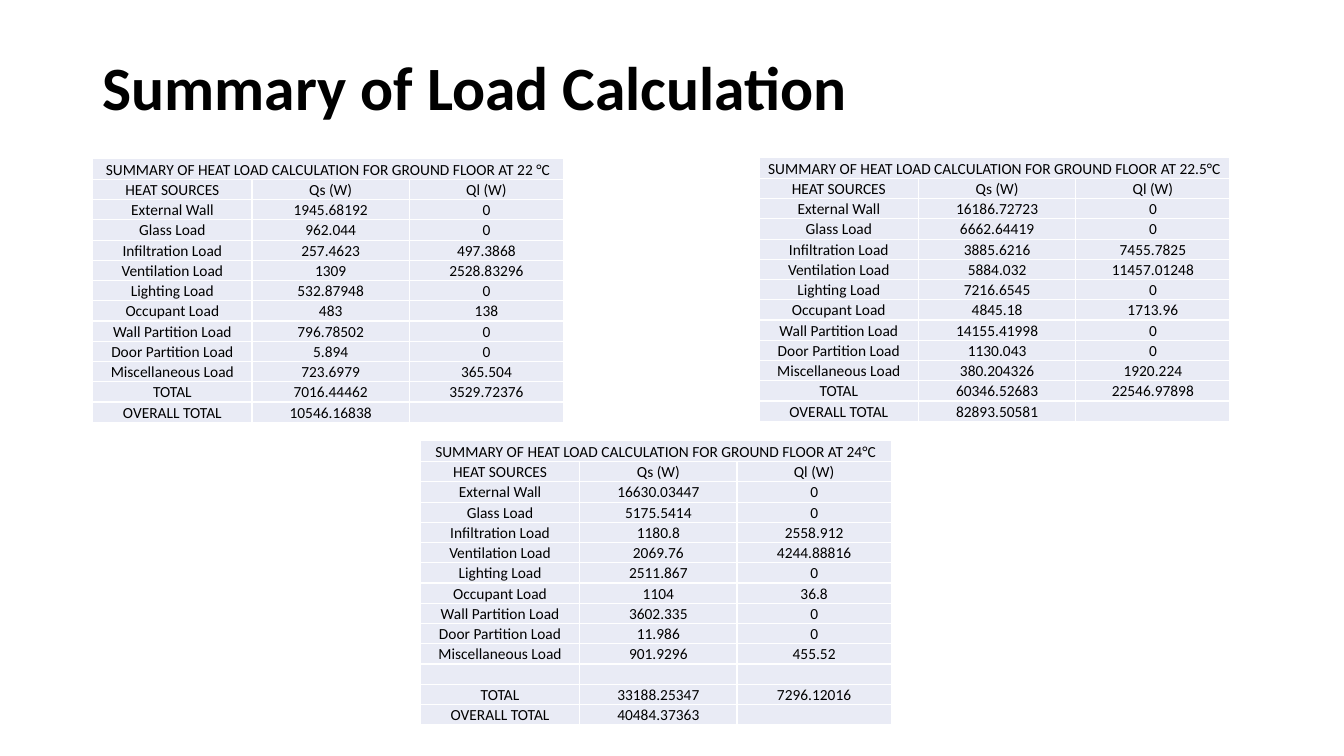
"""Build the load calculation summary slide with three heat load tables."""
import lxml.etree
import pptx
import pptx.dml.color
import pptx.enum.text
import pptx.oxml.ns
import pptx.util

Inches = pptx.util.Inches
Pt = pptx.util.Pt
qualified = pptx.oxml.ns.qn

BLACK = pptx.dml.color.RGBColor(0x00, 0x00, 0x00)
WHITE = pptx.dml.color.RGBColor(0xFF, 0xFF, 0xFF)
PALE_BLUE = pptx.dml.color.RGBColor(0xE9, 0xEB, 0xF5)

TITLE = "Summary of Load Calculation"
HEADING = "SUMMARY OF HEAT LOAD CALCULATION FOR GROUND FLOOR AT "
COLUMN_NAMES = ("HEAT SOURCES", "Qs (W)", "Ql (W)")
SOURCES = (
    "External Wall", "Glass Load", "Infiltration Load", "Ventilation Load",
    "Lighting Load", "Occupant Load", "Wall Partition Load",
    "Door Partition Load", "Miscellaneous Load",
)
TABLES = [
    {
        "temperature": "22 °C", "left": 0.92, "top": 1.57, "gap_rows": 0,
        "sensible": ("1945.68192", "962.044", "257.4623", "1309", "532.87948",
                     "483", "796.78502", "5.894", "723.6979"),
        "latent": ("0", "0", "497.3868", "2528.83296", "0", "138", "0", "0", "365.504"),
        "totals": ("7016.44462", "3529.72376"), "overall": "10546.16838",
    },
    {
        "temperature": "22.5°C", "left": 7.53, "top": 1.56, "gap_rows": 0,
        "sensible": ("16186.72723", "6662.64419", "3885.6216", "5884.032", "7216.6545",
                     "4845.18", "14155.41998", "1130.043", "380.204326"),
        "latent": ("0", "0", "7455.7825", "11457.01248", "0", "1713.96", "0", "0", "1920.224"),
        "totals": ("60346.52683", "22546.97898"), "overall": "82893.50581",
    },
    {
        "temperature": "24°C", "left": 4.17, "top": 4.37, "gap_rows": 1,
        "sensible": ("16630.03447", "5175.5414", "1180.8", "2069.76", "2511.867",
                     "1104", "3602.335", "11.986", "901.9296"),
        "latent": ("0", "0", "2558.912", "4244.88816", "0", "36.8", "0", "0", "455.52"),
        "totals": ("33188.25347", "7296.12016"), "overall": "40484.37363",
    },
]

COLUMN_WIDTHS = (1.58, 1.56, 1.53)
FIRST_ROW_HEIGHT = 0.21
TABLE_HEIGHT = 2.62
ROW_HEIGHT = (TABLE_HEIGHT - FIRST_ROW_HEIGHT) / 12
CELL_SIZE = Pt(11)
CELL_FORMAT = {
    "margin_left": Inches(0.01), "margin_right": Inches(0.01),
    "margin_top": Inches(0.01), "margin_bottom": 0,
    "vertical_anchor": pptx.enum.text.MSO_ANCHOR.BOTTOM,
}
CELL_FONT = {"name": "Calibri", "size": CELL_SIZE, "bold": False}
TITLE_FONT = {"name": "Calibri", "size": Pt(44), "bold": True}


def set_attributes(target, values):
    for name, value in values.items():
        setattr(target, name, value)


def write(para, text, font):
    span = para.add_run()
    span.text = text
    set_attributes(span.font, font)
    span.font.color.rgb = BLACK


def add_title(page):
    box = page.shapes.add_textbox(Inches(0.92), Inches(0.4), Inches(11.5), Inches(0.99))
    frame = box.text_frame
    set_attributes(frame, {"word_wrap": True,
                           "vertical_anchor": pptx.enum.text.MSO_ANCHOR.MIDDLE})
    para = frame.paragraphs[0]
    para.line_spacing = 0.9
    write(para, TITLE, TITLE_FONT)


def format_cell(cell, text):
    set_attributes(cell, CELL_FORMAT)
    properties = cell._tc.get_or_add_tcPr()
    for side in ("a:lnL", "a:lnR", "a:lnT", "a:lnB"):
        line = lxml.etree.SubElement(properties, qualified(side), w=str(Pt(1)))
        fill = lxml.etree.SubElement(line, qualified("a:solidFill"))
        lxml.etree.SubElement(fill, qualified("a:srgbClr"), val=str(WHITE))
    cell.fill.solid()
    cell.fill.fore_color.rgb = PALE_BLUE
    para = cell.text_frame.paragraphs[0]
    para.alignment = pptx.enum.text.PP_ALIGN.CENTER
    if text:
        write(para, text, CELL_FONT)
    else:
        lxml.etree.SubElement(para._p, qualified("a:endParaRPr"),
                              sz=str(int(CELL_SIZE.pt * 100)))


def add_load_table(page, load):
    rows = [(HEADING + load["temperature"], "", ""), COLUMN_NAMES]
    rows += zip(SOURCES, load["sensible"], load["latent"])
    rows += [("", "", "")] * load["gap_rows"]
    rows += [("TOTAL", *load["totals"]), ("OVERALL TOTAL", load["overall"], "")]
    heights = [FIRST_ROW_HEIGHT] + [ROW_HEIGHT] * (len(rows) - 1)
    table = page.shapes.add_table(
        len(rows), len(COLUMN_WIDTHS), Inches(load["left"]), Inches(load["top"]),
        Inches(sum(COLUMN_WIDTHS)), Inches(sum(heights))).table
    set_attributes(table, {"first_row": False, "horz_banding": False})
    for column, width in zip(table.columns, COLUMN_WIDTHS):
        column.width = Inches(width)
    for row, height, texts in zip(table.rows, heights, rows):
        row.height = Inches(height)
        for cell, text in zip(row.cells, texts):
            format_cell(cell, text)
    table.cell(0, 0).merge(table.cell(0, len(COLUMN_WIDTHS) - 1))


def main():
    deck = pptx.Presentation()
    set_attributes(deck, {"slide_width": Inches(13.33), "slide_height": Inches(7.5)})
    page = deck.slides.add_slide(deck.slide_layouts[6])
    add_title(page)
    for load in TABLES:
        add_load_table(page, load)
    deck.save("out.pptx")


if __name__ == "__main__":
    main()
